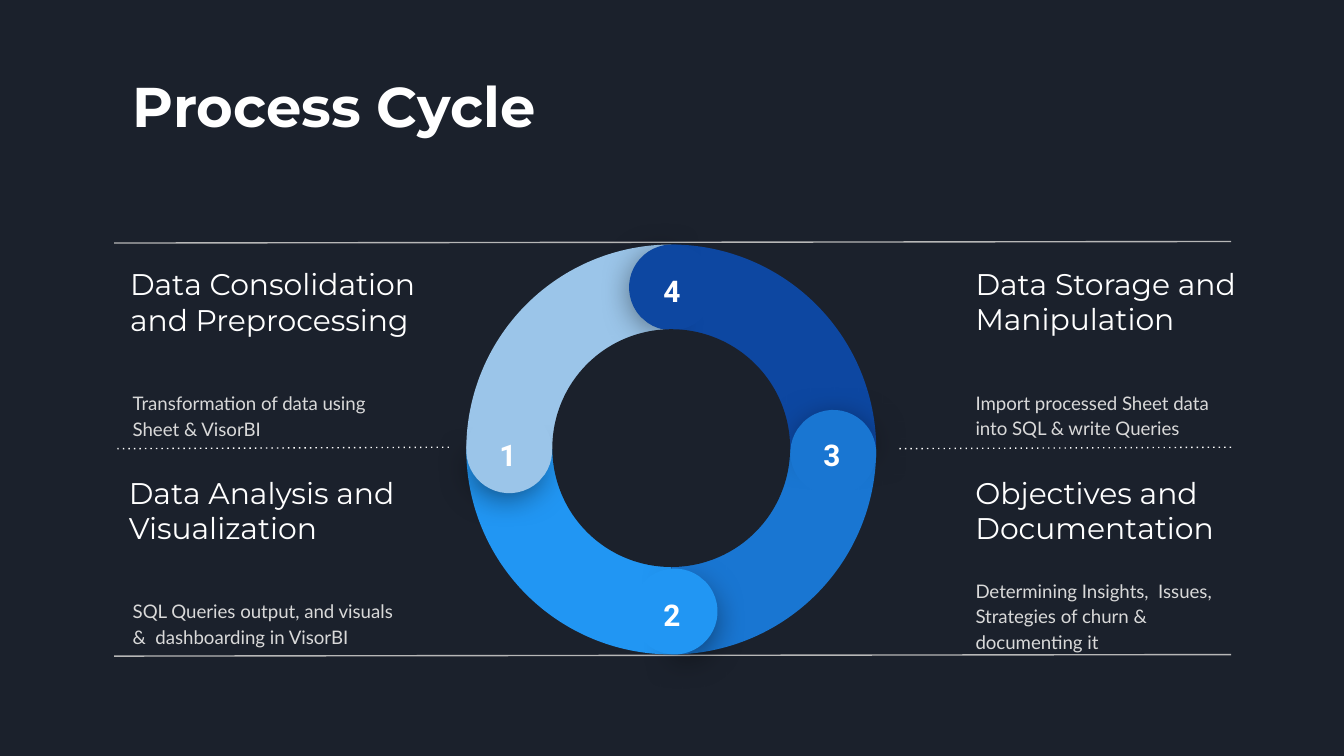
from dataclasses import dataclass

from lxml import etree
from pptx import Presentation
from pptx import util as u
from pptx.dml import color
from pptx.enum import dml, shapes, text
from pptx.oxml import ns

NAVY = color.RGBColor(0x1B, 0x21, 0x2C)
WHITE = color.RGBColor(0xFF, 0xFF, 0xFF)
SILVER = color.RGBColor(0xD9, 0xD9, 0xD9)
GRAY = color.RGBColor(0xB7, 0xB7, 0xB7)
PALE = color.RGBColor(0x9B, 0xC5, 0xE9)
SKY = color.RGBColor(0x21, 0x96, 0xF3)
BLUE = color.RGBColor(0x19, 0x76, 0xD2)
ROYAL = color.RGBColor(0x0D, 0x47, 0xA1)

RING = (249.8, 131, 219.6, 219.6)
HOLE = (295.9, 176.4, 127.4, 127.4)
DISC, CHORD = 41, 46
LABEL = (40.3, 35.3)
ANGLE_UNIT = 0.6


@dataclass(frozen=True)
class Style:
    font: dict
    para: dict
    anchor: text.MSO_ANCHOR


@dataclass(frozen=True)
class Stage:
    fill: color.RGBColor
    disc: tuple[float, float]
    chord: tuple[float, float]
    label: tuple[float, float]
    arc: tuple[float, float] = (315.9, 139.7)


@dataclass(frozen=True)
class Copy:
    words: str
    frame: tuple[float, float, float, float]
    style: Style


@dataclass(frozen=True)
class Rule:
    start: tuple[float, float]
    end: tuple[float, float]
    tint: color.RGBColor
    dotted: bool = False


TITLE = Style(
    {"name": "Montserrat", "size": u.Pt(30), "bold": True},
    {"alignment": text.PP_ALIGN.LEFT},
    text.MSO_ANCHOR.TOP,
)
HEADING = Style(
    {"name": "Montserrat", "size": u.Pt(16)}, {}, text.MSO_ANCHOR.MIDDLE
)
DETAIL = Style(
    {"name": "Lato", "size": u.Pt(10)},
    {"line_spacing": 1.15, "space_after": u.Pt(16)},
    text.MSO_ANCHOR.MIDDLE,
)
NUMBER = Style(
    {"name": "Roboto", "size": u.Pt(16), "bold": True},
    {"alignment": text.PP_ALIGN.CENTER},
    text.MSO_ANCHOR.TOP,
)

COPIES = [
    Copy("Data Consolidation and Preprocessing", (62.6, 139.7, 176.4, 43.9), HEADING),
    Copy("Transformation of data using Sheet & VisorBI", (64, 193, 157, 58.3), DETAIL),
    Copy("Data Analysis and Visualization", (62, 251.3, 160.6, 43.9), HEADING),
    Copy("SQL Queries output, and visuals &  dashboarding in VisorBI", (64, 306, 157, 54.7), DETAIL),
    Copy("Data Storage and Manipulation", (515.5, 135.4, 166.3, 51.8), HEADING),
    Copy("Import processed Sheet data into SQL & write Queries", (515.5, 198, 157, 47.5), DETAIL),
    Copy("Objectives and Documentation", (515.5, 251.3, 146.2, 43.9), HEADING),
    Copy("Determining Insights,  Issues, Strategies of churn & documenting it", (515.5, 300.2, 157, 58.3), DETAIL),
]
RULES = [
    Rule((659.5, 129.4), (61.2, 130.2), GRAY),
    Rule((240.5, 239.6), (61.2, 240.4), WHITE, True),
    Rule((659.5, 239.6), (480.2, 240.4), WHITE, True),
    Rule((659.5, 350.7), (61.2, 351.5), GRAY),
]
STAGES = [
    Stage(PALE, (250.6, 221), (249.8, 218.2), (252, 226.8)),
    Stage(SKY, (341.3, 308.2), (338.4, 304.6), (339.8, 312.5)),
    Stage(BLUE, (427, 221), (423.4, 219.6), (425.5, 226.8), (328.1, 129.5)),
    Stage(ROYAL, (338.4, 131.8), (337, 131), (339.8, 139)),
]


def apply_format(target, values: dict) -> None:
    for name, value in values.items():
        setattr(target, name, value)


def write(box, words: str, style: Style, tint: color.RGBColor) -> None:
    frame = box.text_frame
    margins = {f"margin_{side}": u.Pt(7.2) for side in ("left", "top", "right", "bottom")}
    apply_format(frame, margins | {
        "word_wrap": True,
        "auto_size": text.MSO_AUTO_SIZE.NONE,
        "vertical_anchor": style.anchor,
    })
    para = frame.paragraphs[0]
    apply_format(para, style.para)
    span = para.add_run()
    span.text = words
    apply_format(span.font, style.font)
    span.font.color.rgb = tint


def add_text(page, copy: Copy) -> None:
    box = page.shapes.add_textbox(*map(u.Pt, copy.frame))
    write(box, copy.words, copy.style, SILVER if copy.style is DETAIL else WHITE)


def add_rule(page, rule: Rule) -> None:
    line = page.shapes.add_connector(
        shapes.MSO_CONNECTOR.STRAIGHT, *map(u.Pt, rule.start + rule.end)
    )
    line.line.width = u.Pt(0.75)
    line.line.color.rgb = rule.tint
    properties = line._element.spPr
    if rule.dotted:
        line.line.dash_style = dml.MSO_LINE.ROUND_DOT
        properties.find(".//" + ns.qn("a:prstDash")).set("val", "dot")
    etree.SubElement(properties, ns.qn("a:effectLst"))


def add_solid(parent, kind, frame: tuple, fill: color.RGBColor,
              rotation: float = 0, angles: tuple = ()):
    shape = parent.shapes.add_shape(kind, *map(u.Pt, frame))
    shape.shadow.inherit = False
    shape.fill.solid()
    shape.fill.fore_color.rgb = fill
    shape.line.fill.background()
    shape.rotation = rotation % 360
    for index, angle in enumerate(angles):
        shape.adjustments[index] = angle * ANGLE_UNIT
    return shape


def add_shadow(shape) -> None:
    effects = shape._element.spPr.find(ns.qn("a:effectLst"))
    shadow = etree.SubElement(
        effects, ns.qn("a:outerShdw"), blurRad=str(u.Pt(18)), dist=str(u.Pt(4)),
        dir="5400000", algn="bl", rotWithShape="0",
    )
    tint = etree.SubElement(shadow, ns.qn("a:srgbClr"), val="000000")
    etree.SubElement(tint, ns.qn("a:alpha"), val="55000")


def add_cap(page, number: int, stage: Stage, turn: float) -> None:
    group = page.shapes.add_group_shape()
    disc = add_solid(group, shapes.MSO_SHAPE.PIE, stage.disc + (DISC, DISC),
                     stage.fill, 39.5 + turn, stage.arc)
    add_shadow(disc)
    add_solid(group, shapes.MSO_SHAPE.CHORD, stage.chord + (CHORD, CHORD),
              stage.fill, 4.1 + turn, (41.7, 30.2))
    add_text(page, Copy(str(number), stage.label + LABEL, NUMBER))


def main() -> None:
    deck = Presentation()
    apply_format(deck, {"slide_width": u.Pt(720), "slide_height": u.Pt(405)})
    page = deck.slides.add_slide(deck.slide_layouts[5])
    page.background.fill.solid()
    page.background.fill.fore_color.rgb = NAVY

    title = page.shapes.title
    apply_format(title, {
        "left": u.Pt(64), "top": u.Pt(31), "width": u.Pt(238.3), "height": u.Pt(51.8),
    })
    write(title, "Process Cycle", TITLE, WHITE)

    for copy in COPIES:
        add_text(page, copy)
    for rule in RULES:
        add_rule(page, rule)
    for index, stage in enumerate(STAGES):
        add_solid(page, shapes.MSO_SHAPE.PIE, RING, stage.fill, -90 * index, (180, 270))
    for index, stage in enumerate(STAGES):
        add_cap(page, index + 1, stage, -90 * index)
    add_solid(page, shapes.MSO_SHAPE.OVAL, HOLE, NAVY)
    deck.save("out.pptx")


if __name__ == "__main__":
    main()
